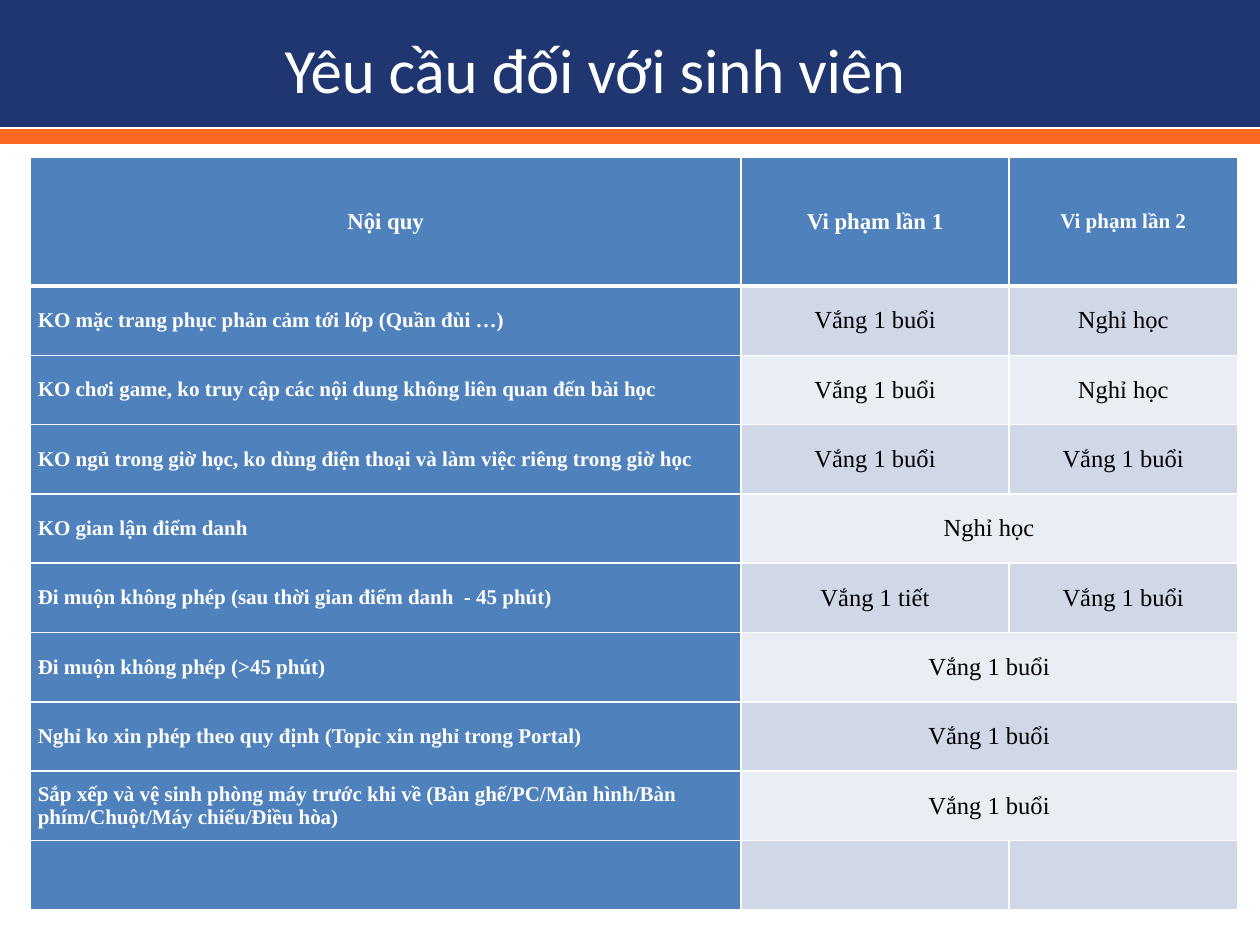
from dataclasses import dataclass
from lxml import etree
from pptx import Presentation
from pptx.dml.color import RGBColor
from pptx.enum.shapes import MSO_SHAPE
from pptx.enum.text import MSO_ANCHOR, MSO_AUTO_SIZE, PP_ALIGN
from pptx.oxml.ns import qn
from pptx.util import Inches, Pt

RECTANGLE = MSO_SHAPE.RECTANGLE
MIDDLE = MSO_ANCHOR.MIDDLE
LEFT, CENTER = PP_ALIGN.LEFT, PP_ALIGN.CENTER
SHAPE_TO_FIT_TEXT = MSO_AUTO_SIZE.SHAPE_TO_FIT_TEXT

COLORS = {
    "navy": "203670",
    "orange": "FA6922",
    "white": "FFFFFF",
    "black": "000000",
    "blue": "4F81BD",
    "dark band": "D0D8E8",
    "light band": "E9EDF4",
}
TITLE_FONT = "Calibri"
TABLE_FONT = "Times New Roman"
COLUMN_WIDTHS = (5.64, 2.13, 1.81)
HEADER_HEIGHT = 1.02
ROW_HEIGHT = 0.55


@dataclass(frozen=True)
class Band:
    top: float
    height: float
    color: str


@dataclass(frozen=True)
class Rule:
    text: str
    first: str
    second: str = ""
    merged: bool = False


@dataclass(frozen=True)
class TextStyle:
    size: float
    color: str
    bold: bool
    alignment: PP_ALIGN
    indent: float = 0
    spacing: float = 0


ABSENT = "V\u0103\u0301ng 1 bu\u00f4\u0309i"
ABSENT_PERIOD = "V\u0103\u0301ng 1 ti\u00ea\u0301t"
SENT_HOME = "Nghi\u0309 ho\u0323c"
BANDS = (Band(0.01, 0.99, "navy"), Band(1.03, 0.11, "orange"))
HEADERS = (
    ("N\u00f4\u0323i quy", 13),
    ("Vi pha\u0323m l\u00e2\u0300n 1", 13),
    ("Vi pha\u0323m l\u00e2\u0300n 2", 12),
)
RULES = (
    Rule("KO m\u0103\u0323c trang phu\u0323c pha\u0309n ca\u0309m t\u01a1\u0301i "
         "l\u01a1\u0301p (Qu\u00e2\u0300n \u0111u\u0300i \u2026)", ABSENT, SENT_HOME),
    Rule("KO ch\u01a1i game, ko truy c\u00e2\u0323p ca\u0301c n\u00f4\u0323i dung "
         "kh\u00f4ng li\u00ean quan \u0111\u00ea\u0301n ba\u0300i ho\u0323c",
         ABSENT, SENT_HOME),
    Rule("KO ngu\u0309 trong gi\u01a1\u0300 ho\u0323c, ko du\u0300ng "
         "\u0111i\u00ea\u0323n thoa\u0323i va\u0300 la\u0300m vi\u00ea\u0323c "
         "ri\u00eang trong gi\u01a1\u0300 ho\u0323c", ABSENT, ABSENT),
    Rule("KO gian l\u00e2\u0323n \u0111i\u00ea\u0309m danh", SENT_HOME, merged=True),
    Rule("\u0110i mu\u00f4\u0323n kh\u00f4ng phe\u0301p (sau th\u01a1\u0300i gian "
         "\u0111i\u00ea\u0309m danh  - 45 phu\u0301t) ", ABSENT_PERIOD, ABSENT),
    Rule("\u0110i mu\u00f4\u0323n kh\u00f4ng phe\u0301p (>45 phu\u0301t) ",
         ABSENT, merged=True),
    Rule("Nghi\u0309 ko xin phe\u0301p theo quy \u0111i\u0323nh "
         "(Topic xin nghi\u0309 trong Portal)", ABSENT, merged=True),
    Rule("S\u0103\u0301p x\u00ea\u0301p va\u0300 v\u00ea\u0323 sinh pho\u0300ng "
         "ma\u0301y tr\u01b0\u01a1\u0301c khi v\u00ea\u0300 (Ba\u0300n gh\u00ea\u0301"
         "/PC/Ma\u0300n hi\u0300nh/Ba\u0300n phi\u0301m/Chu\u00f4\u0323t"
         "/Ma\u0301y chi\u00ea\u0301u/\u0110i\u00ea\u0300u ho\u0300a)",
         ABSENT, merged=True),
    Rule("", ""),
)
RULE_STYLE = TextStyle(12, "white", True, LEFT, indent=0.04)
PENALTY_STYLE = TextStyle(14, "black", False, CENTER)


def rgb(name: str) -> RGBColor:
    return RGBColor.from_string(COLORS[name])


def add_band(slide, band: Band) -> None:
    shape = slide.shapes.add_shape(
        RECTANGLE, 0, Inches(band.top), Inches(10), Inches(band.height))
    shape.shadow.inherit = False
    shape.fill.solid()
    shape.fill.fore_color.rgb = rgb(band.color)
    shape.line.color.rgb = rgb(band.color)
    shape.line.width = Pt(1)


def add_run(paragraph, text: str, font_name: str, size: float, color: str, bold: bool):
    run = paragraph.add_run()
    run.text = text
    run.font.name = font_name
    run.font.size = Pt(size)
    run.font.bold = bold
    run.font.color.rgb = rgb(color)
    return run


def add_title(slide, text: str) -> None:
    shape = slide.shapes.add_textbox(
        Inches(2.25), Inches(0.23), Inches(7.33), Inches(0.62))
    frame = shape.text_frame
    frame.word_wrap = True
    frame.auto_size = SHAPE_TO_FIT_TEXT
    frame.margin_left = frame.margin_right = frame.margin_bottom = 0
    frame.margin_top = Inches(0.01)
    paragraph = frame.paragraphs[0]
    paragraph.space_before = Pt(1)
    paragraph.alignment = LEFT
    paragraph._p.get_or_add_pPr().set("marL", str(Inches(0.01)))
    run = add_run(paragraph, text, TITLE_FONT, 36, "white", False)
    run._r.get_or_add_rPr().set("spc", "-10")


def set_borders(cell, top: float, bottom: float) -> None:
    properties = cell._tc.get_or_add_tcPr()
    widths = (("a:lnL", 1), ("a:lnR", 1), ("a:lnT", top), ("a:lnB", bottom))
    for position, (tag, width) in enumerate(widths):
        line = etree.Element(qn(tag), w=str(Pt(width)))
        fill = etree.SubElement(line, qn("a:solidFill"))
        etree.SubElement(fill, qn("a:srgbClr"), val=COLORS["white"])
        properties.insert(position, line)


def fill_cell(cell, text: str, style: TextStyle, color: str,
              top: float = 1, bottom: float = 1) -> None:
    cell.fill.solid()
    cell.fill.fore_color.rgb = rgb(color)
    set_borders(cell, top, bottom)
    cell.vertical_anchor = MIDDLE
    cell.margin_left = cell.margin_right = Inches(0.02)
    cell.margin_top = cell.margin_bottom = 0
    if not text:
        return
    paragraph = cell.text_frame.paragraphs[0]
    paragraph.alignment = style.alignment
    paragraph.space_before = paragraph.space_after = Pt(style.spacing)
    paragraph._p.get_or_add_pPr().set("marL", str(Inches(style.indent)))
    add_run(paragraph, text, TABLE_FONT, style.size, style.color, style.bold)


def add_rules_table(slide) -> None:
    height = HEADER_HEIGHT + ROW_HEIGHT * len(RULES)
    table = slide.shapes.add_table(
        len(RULES) + 1, len(COLUMN_WIDTHS), Inches(0.24), Inches(1.25),
        Inches(sum(COLUMN_WIDTHS)), Inches(height)).table
    table.horz_banding = False
    for column, width in zip(table.columns, COLUMN_WIDTHS):
        column.width = Inches(width)
    for index, row in enumerate(table.rows):
        row.height = Inches(ROW_HEIGHT if index else HEADER_HEIGHT)
    for index, (text, size) in enumerate(HEADERS):
        style = TextStyle(size, "white", True, CENTER, spacing=1)
        fill_cell(table.cell(0, index), text, style, "blue", bottom=3)
    for index, rule in enumerate(RULES, start=1):
        top = 3 if index == 1 else 1
        band = "dark band" if index % 2 else "light band"
        fill_cell(table.cell(index, 0), rule.text, RULE_STYLE, "blue", top)
        fill_cell(table.cell(index, 1), rule.first, PENALTY_STYLE, band, top)
        fill_cell(table.cell(index, 2), rule.second, PENALTY_STYLE, band, top)
        if rule.merged:
            table.cell(index, 1).merge(table.cell(index, 2))


presentation = Presentation()
presentation.slide_width = Inches(10)
presentation.slide_height = Inches(7.5)
slide = presentation.slides.add_slide(presentation.slide_layouts[6])
for band in BANDS:
    add_band(slide, band)
add_title(slide, "Y\u00eau c\u1ea7u \u0111\u1ed1i v\u1edbi sinh vi\u00ean")
add_rules_table(slide)
presentation.save("out.pptx")
